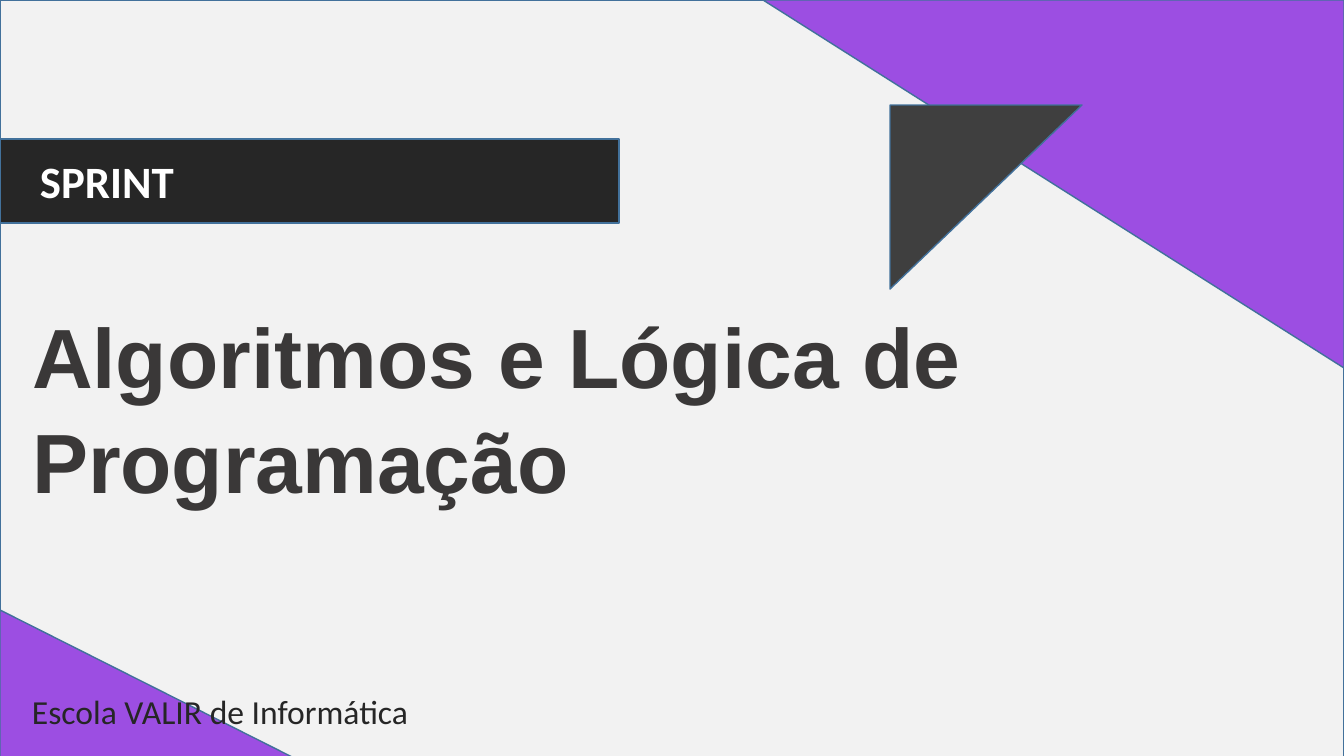
from pptx import Presentation
from pptx import util as u
from pptx.dml.color import RGBColor
from pptx.enum import shapes, text

EMU_PER_PX = 914400 / 100.8
PAPER = RGBColor(0xF2, 0xF2, 0xF2)
PURPLE = RGBColor(0x9C, 0x4E, 0xE2)
CHARCOAL = RGBColor(0x3F, 0x3F, 0x3F)
BLACK = RGBColor(0x26, 0x26, 0x26)
OUTLINE = RGBColor(0x42, 0x71, 0x9B)
TITLE = RGBColor(0x3A, 0x38, 0x38)
WHITE = RGBColor(0xFF, 0xFF, 0xFF)

RECT = shapes.MSO_SHAPE.RECTANGLE
TRIANGLE = shapes.MSO_SHAPE.RIGHT_TRIANGLE


def px(n):
    return u.Emu(round(n * EMU_PER_PX))


class Cover:
    def __init__(self, prs):
        self.slide = prs.slides.add_slide(prs.slide_layouts[5])

    def shape(self, kind, box, fill, rotation=0):
        sp = self.slide.shapes.add_shape(kind, *map(px, box))
        sp.rotation = rotation
        sp.shadow.inherit = False
        sp.fill.solid()
        sp.fill.fore_color.rgb = fill
        sp.line.color.rgb = OUTLINE
        sp.line.width = u.Pt(1)

    def set_text(self, sp, words, font, size, color, bold=False):
        tf = sp.text_frame
        tf.word_wrap = True
        tf.auto_size = text.MSO_AUTO_SIZE.NONE
        tf.vertical_anchor = text.MSO_ANCHOR.TOP
        p = tf.paragraphs[0]
        p.text = words
        p.alignment = text.PP_ALIGN.LEFT
        p.font.name = font
        p.font.size = u.Pt(size)
        p.font.bold = bold
        p.font.color.rgb = color
        return p

    def label(self, box, words, size, color, bold=False):
        sp = self.slide.shapes.add_textbox(*map(px, box))
        self.set_text(sp, words, "Calibri", size, color, bold)

    def title(self, box, words):
        """Fill the title placeholder and bring it to the front."""
        sp = self.slide.shapes.title
        sp.left, sp.top, sp.width, sp.height = map(px, box)
        p = self.set_text(sp, words, "Arial", 60, TITLE, bold=True)
        p.line_spacing = 1.05
        self.slide.shapes.element.append(sp.element)


def main():
    prs = Presentation()
    prs.slide_width, prs.slide_height = px(1344), px(756)

    cover = Cover(prs)
    cover.shape(RECT, (0, 0, 1344, 763), PAPER)
    cover.shape(TRIANGLE, (0, 610, 302, 152), PURPLE)
    cover.shape(TRIANGLE, (763, 0, 581, 368), PURPLE, rotation=180)
    cover.shape(TRIANGLE, (894, 101, 184, 192), CHARCOAL, rotation=90)
    cover.shape(RECT, (0, 139, 619, 84), BLACK)
    cover.label((30, 149, 575, 65), "SPRINT", 32, WHITE, bold=True)
    cover.label((22, 686, 463, 50), "Escola VALIR de Informática", 24, BLACK)
    cover.title((22, 294, 1070, 277), "Algoritmos e Lógica de Programação")

    prs.save("out.pptx")


if __name__ == "__main__":
    main()
